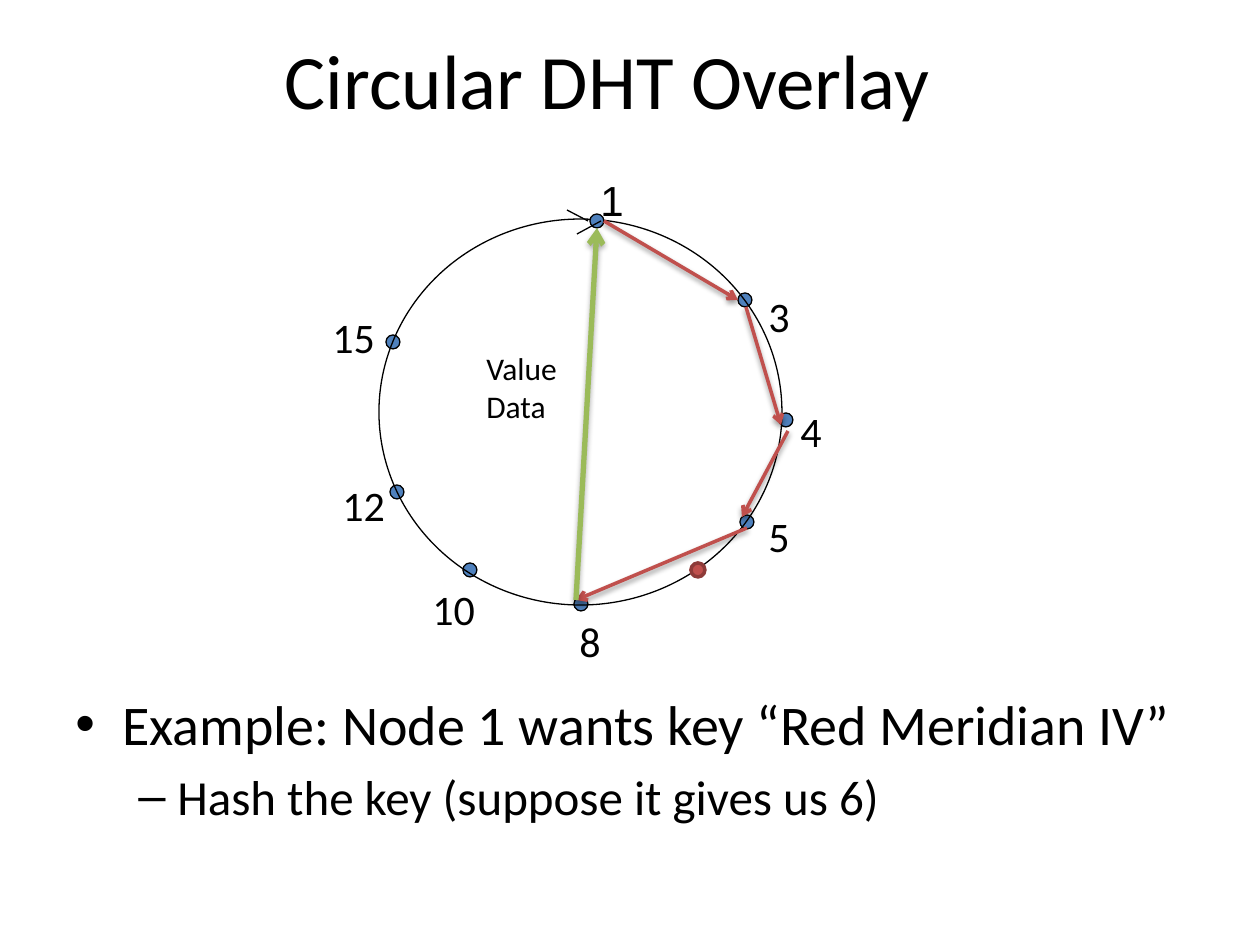
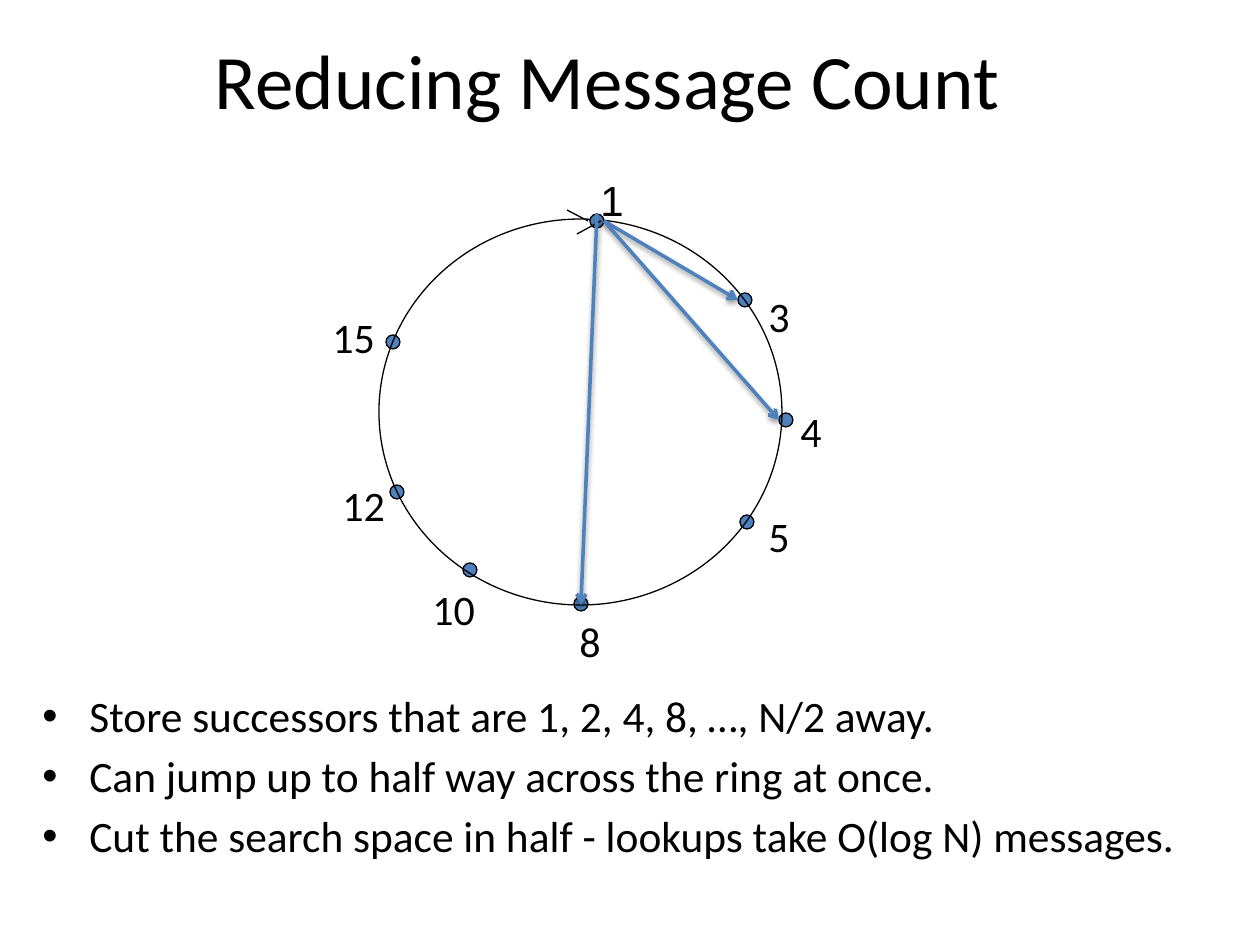
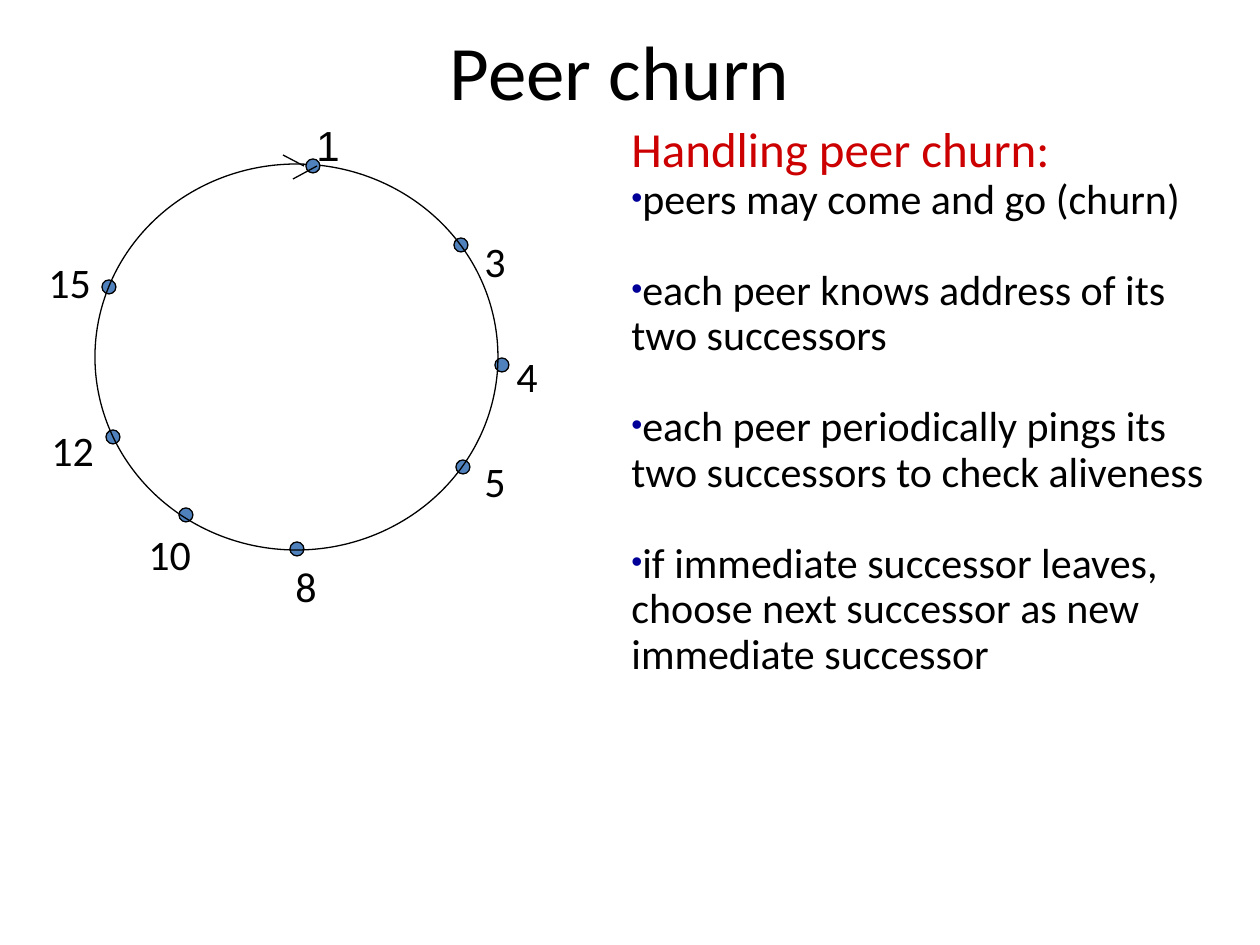
from lxml import etree
from pptx import Presentation, util as u
from pptx.dml.color import RGBColor
from pptx.enum import shapes, text
from pptx.oxml.ns import qn

PX = 914400 // 126
BLACK = RGBColor(0x00, 0x00, 0x00)
BLUE = RGBColor(0x4F, 0x81, 0xBD)
RED = RGBColor(0xC0, 0x50, 0x4D)
DARK_RED = RGBColor(0x8E, 0x3B, 0x39)
GREEN = RGBColor(0x9B, 0xBB, 0x59)
HEADING_RED = RGBColor(0xCC, 0x00, 0x00)
BULLET_BLUE = RGBColor(0x00, 0x00, 0x99)
FONT = "Calibri"

RING_SIZE = (403, 386)
DOT = 14
# Peer: dot centre and label corner, both from the ring's top left corner
PEERS = {
    "8": ((202, 385), (188, 390)),
    "15": ((14, 123), (-59, 86)),
    "12": ((18, 273), (-49, 254)),
    "3": ((366, 81), (377, 65)),
    "4": ((407, 201), (409, 180)),
    "5": ((368, 303), (377, 285)),
    "10": ((91, 351), (41, 358)),
    "1": ((218, 2), (209, -51)),
}
ARROWHEAD = [((188, -9), (209, 2)), ((222, 2), (198, 15))]


def px(*lengths):
    """Turn pixel lengths into EMU."""
    return [u.Emu(round(n * PX)) for n in lengths]


def add_child(parent, tag, **attrs):
    """Append a DrawingML element with the given attributes."""
    child = etree.SubElement(parent, qn(tag))
    for name, value in attrs.items():
        child.set(name, str(value))
    return child


def write(p, content, size=24, color=BLACK, font=FONT, align=None,
          before=0, leading=None):
    """Write formatted text into a paragraph; a newline is a line break."""
    p.alignment = align
    p.space_before = u.Pt(before)
    if leading:
        p.line_spacing = u.Pt(leading)
    for i, line in enumerate(content.split("\n")):
        if i:
            p.add_line_break()
        r = p.add_run()
        r.text = line
        r.font.size, r.font.name = u.Pt(size), font
        r.font.color.rgb = color


def bullet(p, char="•", margin=0, hang=0, color=None, percent=None):
    """Give a paragraph a bullet with a hanging indent."""
    pPr = p._p.get_or_add_pPr()
    left, first = px(margin, -hang)
    pPr.set("marL", str(left))
    pPr.set("indent", str(first))
    if color is not None:
        add_child(add_child(pPr, "a:buClr"), "a:srgbClr", val=color)
    if percent:
        add_child(pPr, "a:buSzPct", val=percent * 1000)
    add_child(pPr, "a:buFont", typeface="Arial")
    add_child(pPr, "a:buChar", char=char)


class Deck:
    """The presentation, its style and the current slide."""

    def __init__(self):
        """Start a 10 by 7.5 inch presentation."""
        self.prs = Presentation()
        self.prs.slide_width, self.prs.slide_height = px(1260, 945)

    def slide(self, title, x, y, w, h):
        """Add a slide and place its centred title."""
        self.s = self.prs.slides.add_slide(self.prs.slide_layouts[5])
        sp = self.s.shapes.title
        sp.left, sp.top, sp.width, sp.height = px(x, y, w, h)
        tf = sp.text_frame
        tf.vertical_anchor = text.MSO_ANCHOR.MIDDLE
        write(tf.paragraphs[0], title, size=44, align=text.PP_ALIGN.CENTER)

    def ellipse(self, x, y, w, h, fill=None, line=BLACK, width=0.75, parent=None):
        """Add an ellipse to the slide or to a group."""
        sp = (parent or self.s).shapes.add_shape(
            shapes.MSO_SHAPE.OVAL, *px(x, y, w, h))
        sp.shadow.inherit = False
        if fill is None:
            sp.fill.background()
        else:
            sp.fill.solid()
            sp.fill.fore_color.rgb = fill
        sp.line.color.rgb, sp.line.width = line, u.Pt(width)

    def dot(self, x, y, **style):
        """Add a small round dot centred on a point."""
        self.ellipse(x - DOT / 2, y - DOT / 2, DOT, DOT, **style)

    def textbox(self, x, y, w, h, wrap=True, grow=True, parent=None):
        """Add a text box and return its text frame."""
        tf = (parent or self.s).shapes.add_textbox(*px(x, y, w, h)).text_frame
        tf.word_wrap = wrap
        if grow:
            tf.auto_size = text.MSO_AUTO_SIZE.SHAPE_TO_FIT_TEXT
        return tf

    def paragraphs(self, tf, items):
        """Fill a frame from (text, format, bullet format or None) items."""
        for i, (content, style, mark) in enumerate(items):
            p = tf.add_paragraph() if i else tf.paragraphs[0]
            write(p, content, **style)
            if mark is not None:
                bullet(p, **mark)

    def line(self, start, end, color=BLACK, width=0.75):
        """Add a plain straight line."""
        c = self.s.shapes.add_connector(
            shapes.MSO_CONNECTOR.STRAIGHT, *px(*start, *end))
        c.line.color.rgb, c.line.width = color, u.Pt(width)
        effects = add_child(c._element.spPr, "a:effectLst")
        return c, effects

    def arrow(self, start, end, color, width=2, opacity=38, drop=1.6):
        """Add an arrow with a soft shadow below it."""
        c, effects = self.line(start, end, color, width)
        add_child(c.line._get_or_add_ln(), "a:tailEnd", type="arrow")
        shadow = add_child(effects, "a:outerShdw", blurRad=u.Pt(3.1),
                           dist=u.Pt(drop), dir=5400000, rotWithShape=0)
        black = add_child(shadow, "a:srgbClr", val=BLACK)
        add_child(black, "a:alpha", val=opacity * 1000)

    def ring(self, x, y, shift_12=0):
        """Draw the ring of peers with labels and a direction mark."""
        group = self.s.shapes.add_group_shape()
        for name, ((dx, dy), _) in PEERS.items():
            if name == "1":  # the first peer lies over the ring
                self.ellipse(x, y, *RING_SIZE, parent=group)
            self.dot(x + dx, y + dy, fill=BLUE, parent=group)
        for name, (_, (dx, dy)) in PEERS.items():
            shift = shift_12 if name == "12" else 0
            tf = self.textbox(x + dx + shift, y + dy, 49 if len(name) == 1 else 73,
                              63, wrap=False, parent=group)
            write(tf.paragraphs[0], name, font="Arial" if name == "1" else FONT)
        for (x1, y1), (x2, y2) in ARROWHEAD:
            self.line((x + x1, y + y1), (x + x2, y + y2))


def lookup_slide(deck):
    """Build the slide that follows a lookup round the ring."""
    deck.slide("Circular DHT Overlay", 72, 0, 1071, 158)
    deck.ring(379, 219)
    tf = deck.textbox(63, 683, 1134, 210, grow=False)
    deck.paragraphs(tf, [
        ("Example: Node 1 wants key “Red Meridian IV”",
         dict(size=32, before=6.4), dict(margin=47, hang=47)),
        ("Hash the key (suppose it gives us 6)",
         dict(size=28, before=5.6), dict(char="–", margin=102, hang=39)),
    ])
    deck.dot(698, 570, fill=RED, line=DARK_RED, width=2)
    for start, end in [((604, 221), (738, 300)), ((746, 307), (781, 425)),
                       ((788, 431), (742, 517)), ((747, 528), (576, 600))]:
        deck.arrow(start, end, RED)
    deck.arrow((576, 600), (597, 228), GREEN, width=3, opacity=35, drop=1.8)
    tf = deck.textbox(474, 343, 111, 89)
    deck.paragraphs(tf, [(word, dict(size=18), None) for word in ("Value", "Data")])


def shortcut_slide(deck):
    """Build the slide on shortcuts across the ring."""
    deck.slide("Reducing Message Count", 72, 0, 1071, 158)
    deck.ring(379, 219)
    tf = deck.textbox(30, 683, 1197, 210, grow=False)
    deck.paragraphs(tf, [
        (line, dict(size=24.8, before=4.5), dict(margin=47, hang=47)) for line in (
            "Store successors that are 1, 2, 4, 8, …, N/2 away.",
            "Can jump up to half way across the ring at once.",
            "Cut the search space in half - lookups take O(log N) messages.")])
    for start, end in [((604, 221), (738, 300)), ((604, 221), (779, 420)),
                       ((597, 214), (581, 605))]:
        deck.arrow(start, end, BLUE)


def churn_slide(deck):
    """Build the slide on peers that come and go."""
    deck.slide("Peer churn", 53, 0, 1134, 140)
    deck.ring(95, 164, shift_12=-7)
    points = ["peers may come and go (churn)",
              "each peer knows address of its two successors",
              "each peer periodically pings its\ntwo successors to check aliveness",
              "if immediate successor leaves, choose next successor as new "
              "immediate successor"]
    tf = deck.textbox(619, 112, 610, 624)
    deck.paragraphs(tf, [
        ("Handling peer churn:", dict(size=28, color=HEADING_RED), None),
        *[(point, dict(leading=26, before=26 if i else 0),
           dict(color=BULLET_BLUE, percent=75)) for i, point in enumerate(points)]])


def main():
    """Build and save the presentation."""
    deck = Deck()
    lookup_slide(deck)
    shortcut_slide(deck)
    churn_slide(deck)
    deck.prs.save("out.pptx")


main()
